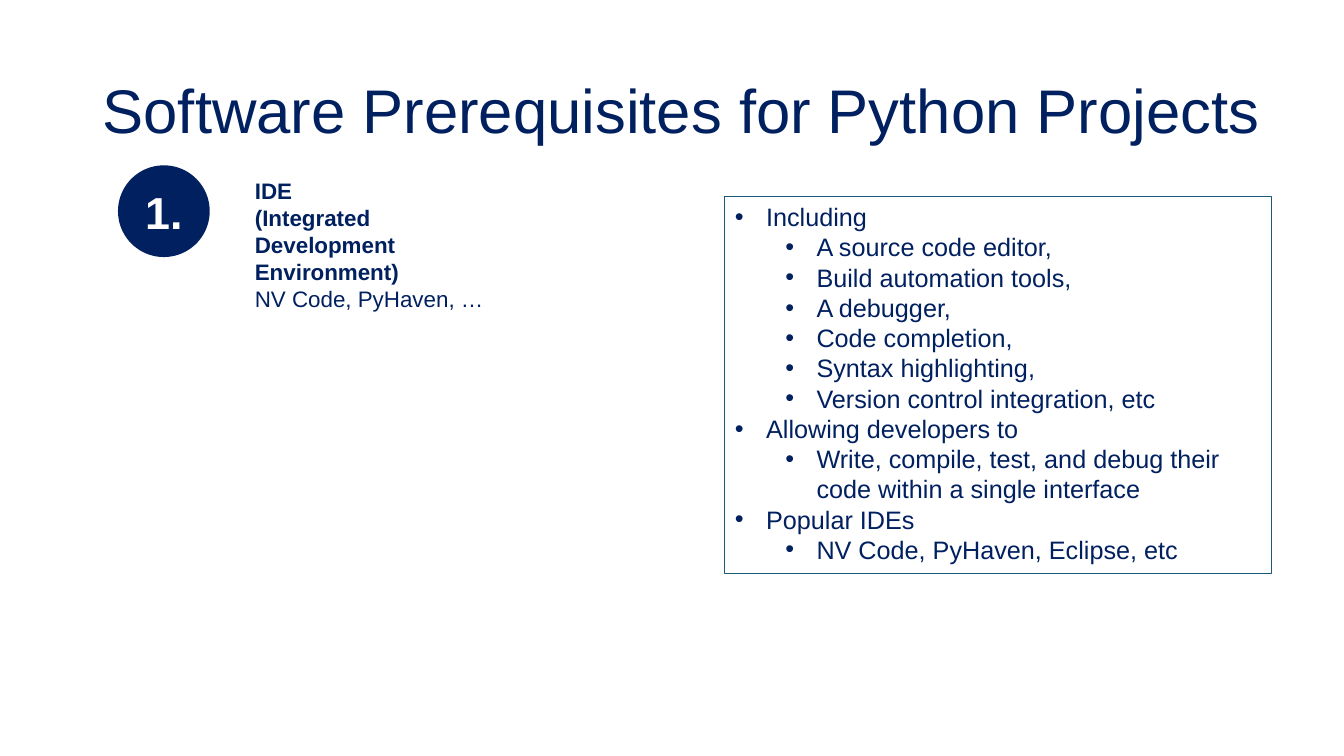
from lxml.etree import SubElement
from pptx import Presentation
from pptx.dml.color import RGBColor
from pptx.enum.shapes import MSO_SHAPE
from pptx.enum.text import MSO_ANCHOR, PP_ALIGN
from pptx.oxml.ns import qn
from pptx.util import Inches, Pt

COLORS = {"navy": "002060", "teal": "195979", "white": "FFFFFF"}


def color(name):
    return RGBColor.from_string(COLORS[name])


def write(para, text, size, bold=False, ink="navy"):
    para.text = text
    font = para.font
    font.name, font.size, font.bold = "Arial", Pt(size), bold
    font.color.rgb = color(ink)


deck = Presentation()
deck.slide_width, deck.slide_height = Inches(13.33), Inches(7.5)
slide = deck.slides.add_slide(deck.slide_layouts[6])
shapes = slide.shapes

# Number badge
badge = shapes.add_shape(MSO_SHAPE.OVAL, Inches(1.17), Inches(1.64), Inches(0.91), Inches(0.91))
badge.shadow.inherit = False
badge.fill.solid()
badge.fill.fore_color.rgb = color("navy")
badge.line.fill.background()
frame = badge.text_frame
frame.vertical_anchor = MSO_ANCHOR.MIDDLE
frame.word_wrap = False
para = frame.paragraphs[0]
para.alignment = PP_ALIGN.CENTER
write(para, "1.", 32, True, "white")

# Topic
topic = shapes.add_textbox(Inches(2.43), Inches(1.71), Inches(2.56), Inches(1.45))
frame = topic.text_frame
frame.word_wrap = True
lines = [
    ("IDE", True),
    ("(Integrated Development Environment)", True),
    ("NV Code, PyHaven, …", False),
]
for i, (text, bold) in enumerate(lines):
    para = frame.add_paragraph() if i else frame.paragraphs[0]
    write(para, text, 16, bold)

# Title
title = shapes.add_textbox(Inches(0.92), Inches(0.4), Inches(12.07), Inches(1.45))
frame = title.text_frame
frame.word_wrap = True
frame.vertical_anchor = MSO_ANCHOR.MIDDLE
para = frame.paragraphs[0]
para.line_spacing = 0.9
write(para, "Software Prerequisites for Python Projects", 44)

# Detail panel
panel = shapes.add_shape(MSO_SHAPE.RECTANGLE, Inches(7.19), Inches(1.95), Inches(5.42), Inches(3.74))
panel.shadow.inherit = False
panel.fill.background()
panel.line.color.rgb = color("teal")
panel.line.width = Pt(0.75)
frame = panel.text_frame
frame.word_wrap = True
frame.vertical_anchor = MSO_ANCHOR.TOP
items = [
    (0, "Including"),
    (1, "A source code editor,"),
    (1, "Build automation tools,"),
    (1, "A debugger,"),
    (1, "Code completion,"),
    (1, "Syntax highlighting,"),
    (1, "Version control integration, etc"),
    (0, "Allowing developers to"),
    (1, "Write, compile, test, and debug their code within a single interface"),
    (0, "Popular IDEs"),
    (1, "NV Code, PyHaven, Eclipse, etc"),
]
for i, (level, text) in enumerate(items):
    para = frame.add_paragraph() if i else frame.paragraphs[0]
    para.level = level
    para.alignment = PP_ALIGN.LEFT
    props = para._p.get_or_add_pPr()
    props.set("marL", str(Inches(0.31 + 0.5 * level)))
    props.set("indent", str(Inches(-0.31)))
    SubElement(props, qn("a:buFont"), typeface="Arial")
    SubElement(props, qn("a:buChar"), char="•")
    write(para, text, 18)

deck.save("out.pptx")
